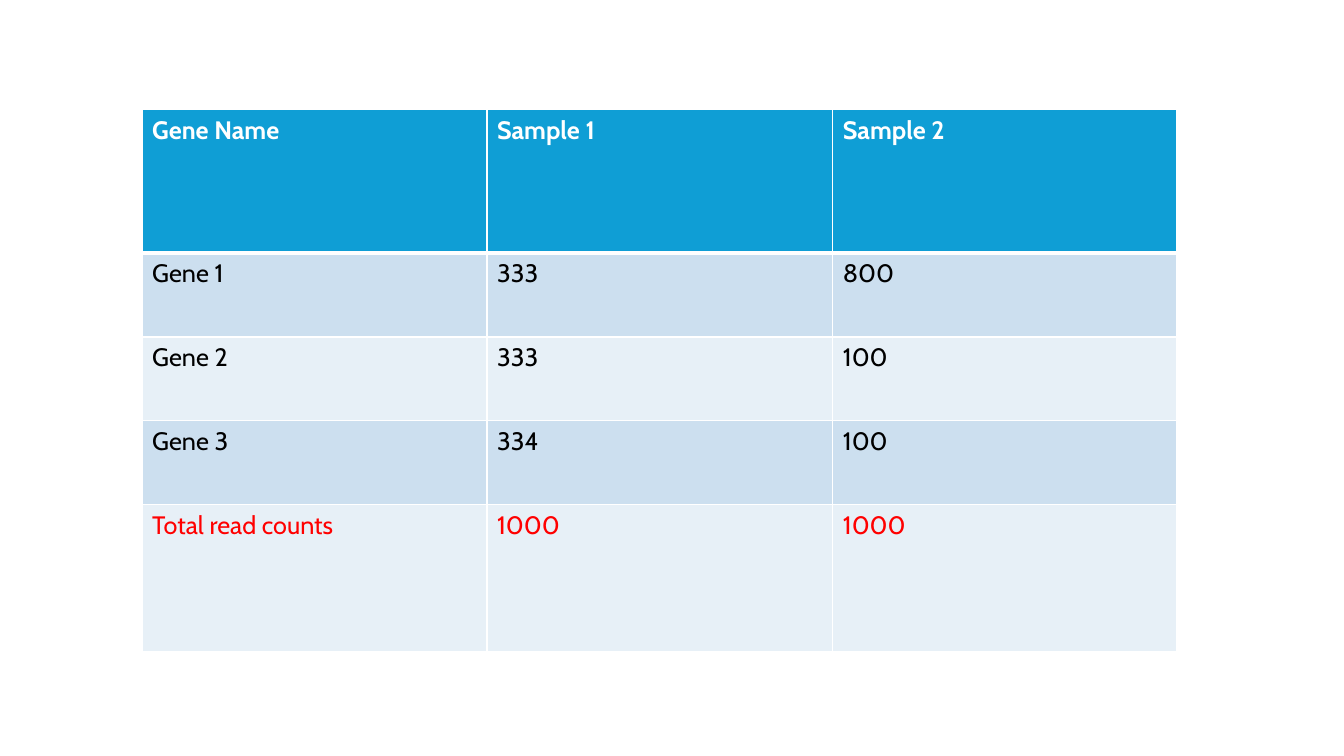
from lxml import etree
from pptx import Presentation
from pptx import util as u
from pptx.dml.color import RGBColor
from pptx.oxml import ns

WHITE = RGBColor(0xFF, 0xFF, 0xFF)
BLACK = RGBColor(0x00, 0x00, 0x00)
RED = RGBColor(0xFF, 0x00, 0x00)
HEADER_BLUE = RGBColor(0x0F, 0x9E, 0xD5)
BANDS = (RGBColor(0xE7, 0xF0, 0xF7), RGBColor(0xCC, 0xDF, 0xEF))

FONT = "Cabin"
READ_COUNTS = (
    ("Gene Name", "Sample 1", "Sample 2"),
    ("Gene 1", "333", "800"),
    ("Gene 2", "333", "100"),
    ("Gene 3", "334", "100"),
    ("Total read counts", "1000", "1000"),
)
COLUMN_WIDTHS = (3.42, 3.43, 3.41)
ROW_HEIGHTS = (1.42, 0.83, 0.83, 0.83, 1.45)


def add_border(cell, side, points):
    """Draw a white line on one side (L, R, T or B) of the cell."""
    line = etree.SubElement(cell._tc.get_or_add_tcPr(), ns.qn(f"a:ln{side}"),
                            w=str(u.Pt(points)))
    fill = etree.SubElement(line, ns.qn("a:solidFill"))
    etree.SubElement(fill, ns.qn("a:srgbClr"), val=str(WHITE))


def format_cell(cell, row, last_row):
    header = row == 0
    rules = {"L": 1, "R": 1, "T": 3 if row == 1 else 1, "B": 3 if header else 1}
    for side, points in rules.items():
        add_border(cell, side, points)
    cell.fill.solid()
    cell.fill.fore_color.rgb = HEADER_BLUE if header else BANDS[row % 2]
    font = cell.text_frame.paragraphs[0].runs[0].font
    font.name = FONT
    font.size = u.Pt(18)
    font.bold = header
    font.color.rgb = WHITE if header else RED if row == last_row else BLACK


def add_count_table(slide, left, top, width, height):
    counts = slide.shapes.add_table(len(READ_COUNTS), len(COLUMN_WIDTHS),
                                    left, top, width, height).table
    for column, share in zip(counts.columns, COLUMN_WIDTHS):
        column.width = int(width * share / sum(COLUMN_WIDTHS))
    for row, share in zip(counts.rows, ROW_HEIGHTS):
        row.height = int(height * share / sum(ROW_HEIGHTS))
    for row, values in enumerate(READ_COUNTS):
        for column, value in enumerate(values):
            cell = counts.cell(row, column)
            cell.text_frame.text = value
            format_cell(cell, row, len(READ_COUNTS) - 1)


def main():
    deck = Presentation()
    deck.slide_width, deck.slide_height = u.Inches(13.33), u.Inches(7.5)
    slide = deck.slides.add_slide(deck.slide_layouts[6])
    add_count_table(slide, u.Inches(1.41), u.Inches(1.09),
                    u.Inches(10.26), u.Inches(5.37))
    deck.save("out.pptx")


if __name__ == "__main__":
    main()
